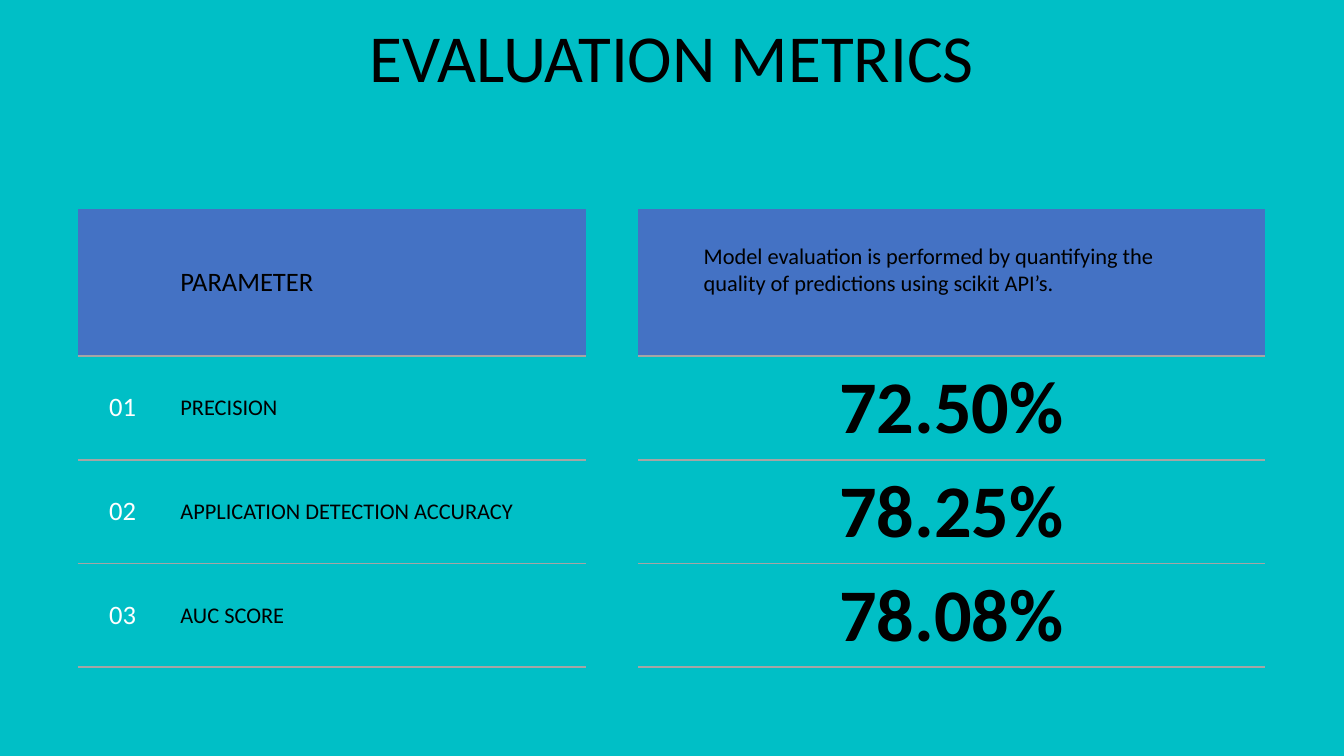
from lxml import etree
from pptx import Presentation
from pptx import util as u
from pptx.dml.color import RGBColor
from pptx.enum import text
from pptx.oxml.ns import qn

TITLE = "EVALUATION METRICS"
PARAMETER = "PARAMETER"
SUMMARY = ("Model evaluation is performed by quantifying the quality of "
           "predictions using scikit API’s.")
METRICS = [
    ("01", "PRECISION", "72.50%"),
    ("02", "APPLICATION DETECTION ACCURACY", "78.25%"),
    ("03", "AUC SCORE", "78.08%"),
]
COLUMNS = [0.89, 4.15, 0.52, 0.52, 5.18, 0.52]
ROWS = [1.46] + [1.03] * len(METRICS)
GAP = 2
TEAL, BLUE, GREY, BLACK, WHITE = "00BFC6", "4472C4", "A5A5A5", "000000", "FFFFFF"
LEFT, CENTER = text.PP_ALIGN.LEFT, text.PP_ALIGN.CENTER
MIDDLE, TOP = text.MSO_ANCHOR.MIDDLE, text.MSO_ANCHOR.TOP


def paint(fill, color):
    fill.solid()
    fill.fore_color.rgb = RGBColor.from_string(color)


def write(frame, words, size, color=BLACK, align=LEFT, bold=False):
    paragraph = frame.paragraphs[0]
    paragraph.alignment = align
    run = paragraph.add_run()
    run.text = words
    run.font.name = "Calibri"
    run.font.size = u.Pt(size)
    run.font.bold = bold
    paint(run.font.fill, color)
    return paragraph


def write_cell(cell, words, size, anchor=MIDDLE, top=0.07, **style):
    cell.vertical_anchor = anchor
    cell.margin_left = cell.margin_right = u.Inches(0.13)
    cell.margin_top, cell.margin_bottom = u.Inches(top), u.Inches(0.07)
    write(cell.text_frame, words, size, **style)


def rule(cell, ruled_sides):
    properties = cell._tc.get_or_add_tcPr()
    for place, side in enumerate(("lnL", "lnR", "lnT", "lnB")):
        line = etree.Element(qn("a:" + side), w=str(u.Pt(1.5)))
        if side in ruled_sides:
            solid = etree.SubElement(line, qn("a:solidFill"))
            etree.SubElement(solid, qn("a:srgbClr"), val=GREY)
        else:
            etree.SubElement(line, qn("a:noFill"))
        properties.insert(place, line)


deck = Presentation()
deck.slide_width, deck.slide_height = u.Inches(13.33), u.Inches(7.5)
slide = deck.slides.add_slide(deck.slide_layouts[6])
paint(slide.background.fill, TEAL)

title = slide.shapes.add_textbox(0, u.Inches(0.18), deck.slide_width, u.Inches(0.84)).text_frame
title.word_wrap = True
title.vertical_anchor = MIDDLE
write(title, TITLE, 48, align=CENTER).line_spacing = 0.9

table = slide.shapes.add_table(
    len(ROWS), len(COLUMNS), u.Inches(0.77), u.Inches(2.07),
    u.Inches(sum(COLUMNS)), u.Inches(sum(ROWS))).table
table.first_row = table.horz_banding = False
for column, width in zip(table.columns, COLUMNS):
    column.width = u.Inches(width)
for row, height in zip(table.rows, ROWS):
    row.height = u.Inches(height)

for r in range(len(ROWS)):
    for c in range(len(COLUMNS)):
        cell = table.cell(r, c)
        if r == 0 and c != GAP:
            paint(cell.fill, BLUE)
        else:
            cell.fill.background()
        if c == GAP:
            rule(cell, ())
        else:
            rule(cell, ("lnT", "lnB") if r else ("lnB",))

write_cell(table.cell(0, 1), PARAMETER, 19)
write_cell(table.cell(0, 4), SUMMARY, 16, anchor=TOP, top=0.34)
for r, (number, metric, score) in enumerate(METRICS, 1):
    table.cell(r, 3).merge(table.cell(r, 5))
    write_cell(table.cell(r, 0), number, 19, color=WHITE, align=CENTER)
    write_cell(table.cell(r, 1), metric, 16)
    write_cell(table.cell(r, 3), score, 53, align=CENTER, bold=True)

deck.save("out.pptx")
